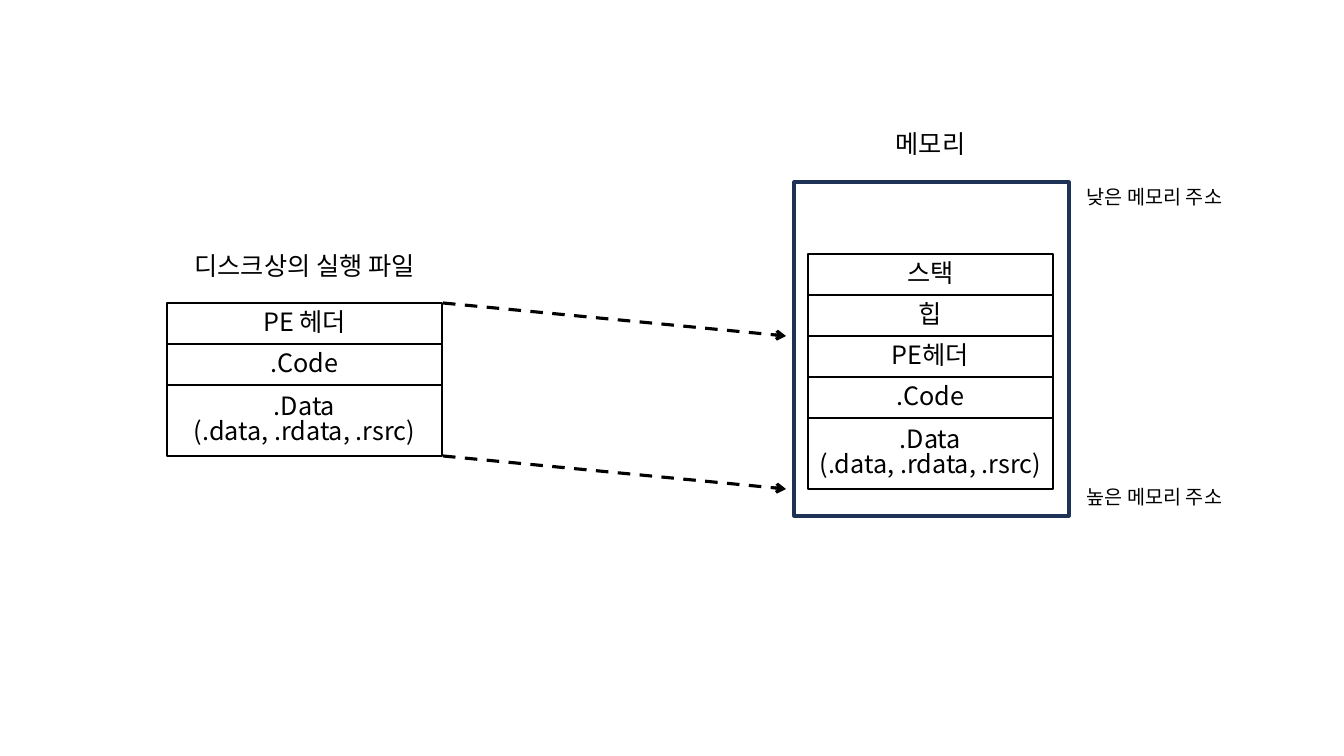
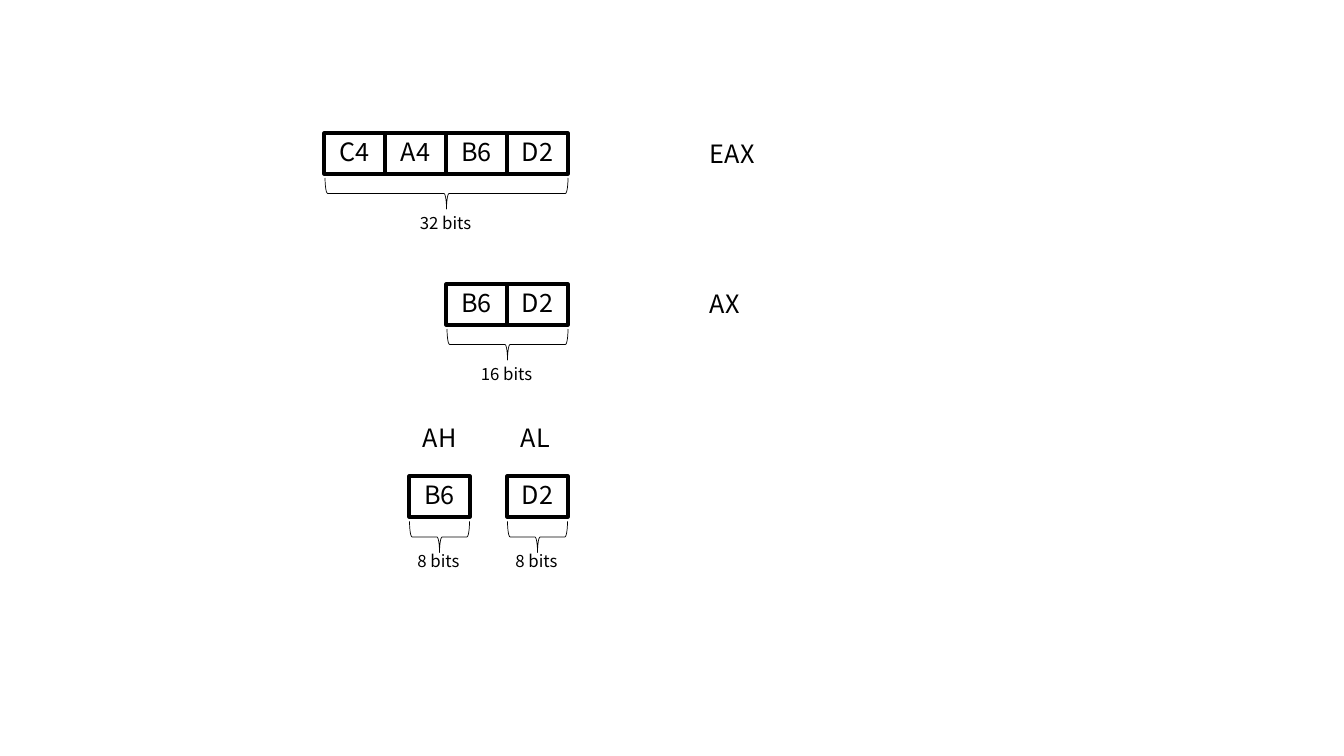
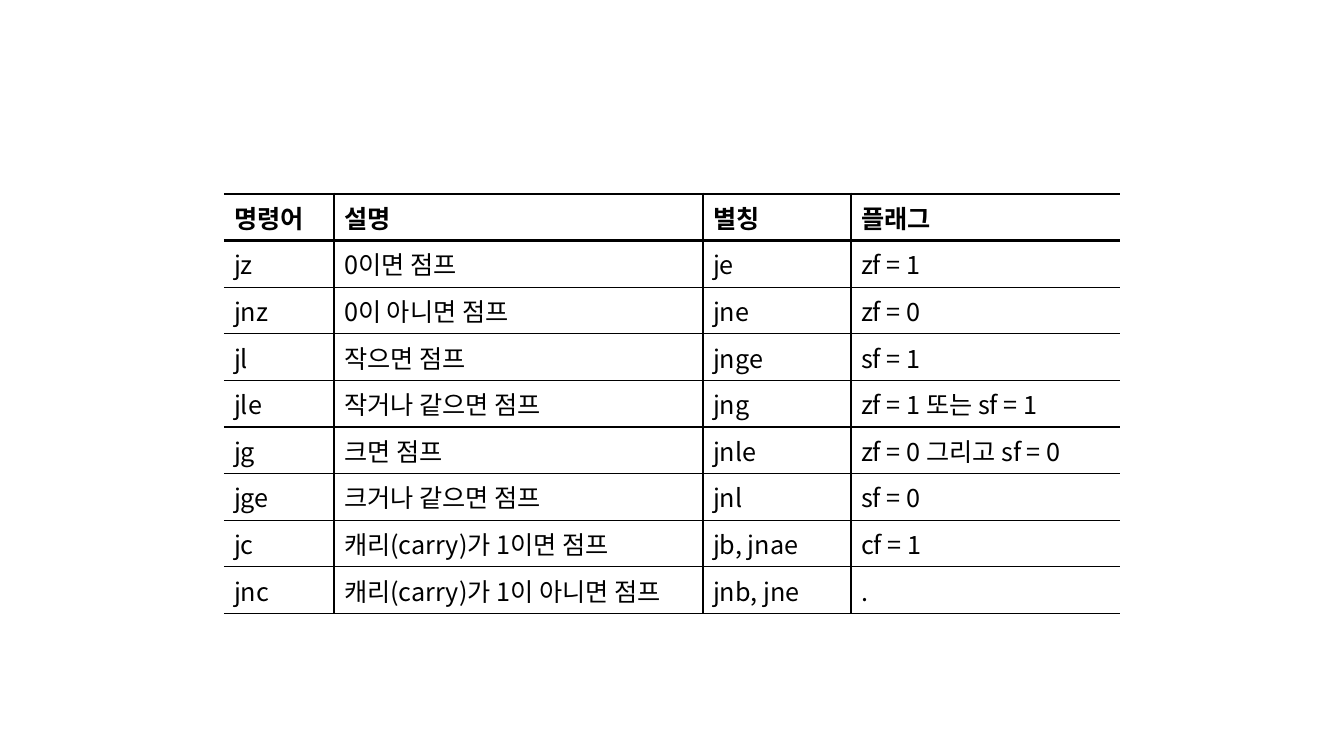
from lxml.etree import SubElement
from pptx import Presentation
from pptx.dml.color import RGBColor
from pptx.enum.dml import MSO_LINE
from pptx.enum.shapes import MSO_CONNECTOR, MSO_SHAPE
from pptx.enum.text import MSO_ANCHOR, PP_ALIGN
from pptx.oxml.ns import qn
from pptx.util import Pt

PX = 9071  # EMU in one px, at 100.8 px to the inch
FONT = "Noto Sans CJK KR"
BLACK, NAVY = "000000", "1E3256"
TIGHT = 0.84
color = RGBColor.from_string


def write(frame, text, size=18, align=PP_ALIGN.LEFT, bold=False, spacing=1.0):
    """Fill a text frame, one paragraph to each line of text."""
    frame.text = text
    for paragraph in frame.paragraphs:
        paragraph.alignment = align
        paragraph.line_spacing = spacing
        font = paragraph.font
        font.name, font.size, font.bold = FONT, Pt(size), bold
        font.color.rgb = color(BLACK)
        defaults = paragraph._p.pPr.find(qn("a:defRPr"))
        SubElement(defaults, qn("a:ea"), typeface=FONT)


def add_box(shapes, text, x, y, w, h, size=18, align=PP_ALIGN.CENTER,
            border=0, wrap=True):
    """Add centred-in-height text, framed when a border width is given."""
    place = x * PX, y * PX, w * PX, h * PX
    if border:
        box = shapes.add_shape(MSO_SHAPE.RECTANGLE, *place)
        box.shadow.inherit = False
        box.fill.background()
        box.line.color.rgb = color(BLACK)
        box.line.width = Pt(border)
    else:
        box = shapes.add_textbox(*place)
    box.text_frame.word_wrap = wrap
    box.text_frame.vertical_anchor = MSO_ANCHOR.MIDDLE
    write(box.text_frame, text, size, align, spacing=TIGHT)
    return box


prs = Presentation()
prs.slide_width, prs.slide_height = 1344 * PX, 756 * PX
blank = prs.slide_layouts[6]

# Slide 1: executable file mapped into memory
shapes = prs.slides.add_slide(blank).shapes
ROW = 41
DATA = ".Data\n(.data, .rdata, .rsrc)"
add_box(shapes, "디스크상의 실행 파일", 167, 248, 275, 40)
add_box(shapes, "메모리", 793, 126, 275, 40)
memory = add_box(shapes, "", 794, 182, 275, 334, border=2.25)
memory.line.color.rgb = color(NAVY)

sections = [
    (shapes, 167, 303, 275, ["PE 헤더", ".Code", DATA]),
    (shapes.add_group_shape().shapes, 808, 254, 245,
     ["스택", "힙", "PE헤더", ".Code", DATA]),
]
for target, x, y, w, names in sections:
    for row, name in enumerate(names):
        height = 71 if name == DATA else ROW
        add_box(target, name, x, y + row * ROW, w, height, border=1.5)

for start_y in (303, 456):
    mapping = shapes.add_connector(MSO_CONNECTOR.STRAIGHT, 443 * PX, start_y * PX,
                                   786 * PX, (start_y + 33) * PX)
    mapping.line.color.rgb = color(BLACK)
    mapping.line.width = Pt(2.25)
    mapping.line.dash_style = MSO_LINE.DASH
    SubElement(mapping.line._ln, qn("a:tailEnd"), type="arrow")
    SubElement(mapping._element.spPr, qn("a:effectLst"))

for address, y in (("낮은 메모리 주소", 182), ("높은 메모리 주소", 482)):
    add_box(shapes, address, 1077, y, 171, 34, size=14, align=PP_ALIGN.LEFT)

# Slide 2: parts of the EAX register
shapes = prs.slides.add_slide(blank).shapes
BYTE, BRACE = 61, 31
registers = [  # bytes, left, top, bit count, drop to the bit count
    (["C4", "A4", "B6", "D2"], 324, 133, "32 bits", 76),
    (["B6", "D2"], 446, 284, "16 bits", 76),
    (["B6"], 409, 476, "8 bits", 71),
    (["D2"], 507, 476, "8 bits", 71),
]
for values, x, y, bits, drop in registers:
    for column, value in enumerate(values):
        add_box(shapes, value, x + column * BYTE, y, BYTE, ROW, border=2.25)
    span = len(values) * BYTE
    middle = x + span // 2
    # The brace is laid out upright, then turned about its centre.
    brace = shapes.add_shape(
        MSO_SHAPE.RIGHT_BRACE, (middle - BRACE // 2) * PX,
        (y + 61 - span // 2) * PX, BRACE * PX, (span - 1) * PX)
    brace.rotation = 90
    brace.shadow.inherit = False
    brace.fill.background()
    brace.line.color.rgb = color(BLACK)
    brace.line.width = Pt(0.5)
    add_box(shapes, bits, middle - 37, y + drop, 73, 30, size=12, wrap=False)

for name, x, y, w in (("EAX", 700, 136, 66), ("AX", 700, 286, 52),
                      ("AH", 413, 420, 55), ("AL", 511, 420, 49)):
    add_box(shapes, name, x, y, w, 40, align=PP_ALIGN.LEFT, wrap=False)

# Slide 3: conditional jumps
shapes = prs.slides.add_slide(blank).shapes
jumps = [
    ("명령어", "설명", "별칭", "플래그"),
    ("jz", "0이면 점프", "je", "zf = 1"),
    ("jnz", "0이 아니면 점프", "jne", "zf = 0"),
    ("jl", "작으면 점프", "jnge", "sf = 1"),
    ("jle", "작거나 같으면 점프", "jng", "zf = 1 또는 sf = 1"),
    ("jg", "크면 점프", "jnle", "zf = 0 그리고 sf = 0"),
    ("jge", "크거나 같으면 점프", "jnl", "sf = 0"),
    ("jc", "캐리(carry)가 1이면 점프", "jb, jnae", "cf = 1"),
    ("jnc", "캐리(carry)가 1이 아니면 점프", "jnb, jne", "."),
]
widths = [110, 369, 148, 269]
table = shapes.add_table(len(jumps), len(widths), 224 * PX, 194 * PX,
                         sum(widths) * PX, len(jumps) * ROW * PX).table
table.first_row = table.horz_banding = False
for column, width in zip(table.columns, widths):
    column.width = width * PX

for r, jump in enumerate(jumps):
    for c, text in enumerate(jump):
        cell = table.cell(r, c)
        write(cell.text_frame, text, bold=r == 0)
        borders = {
            "a:lnL": 1 if c > 0 else 0,
            "a:lnR": 1 if c < len(widths) - 1 else 0,
            "a:lnT": 2.25 if r < 2 else 1,
            "a:lnB": 2.25 if r == 0 else 1,
        }
        for side, points in borders.items():
            edge = SubElement(cell._tc.get_or_add_tcPr(), qn(side), w=str(Pt(points)))
            if points:
                fill = SubElement(edge, qn("a:solidFill"))
                SubElement(fill, qn("a:srgbClr"), val=BLACK)
            else:
                SubElement(edge, qn("a:noFill"))
        cell.fill.background()

prs.save("out.pptx")
